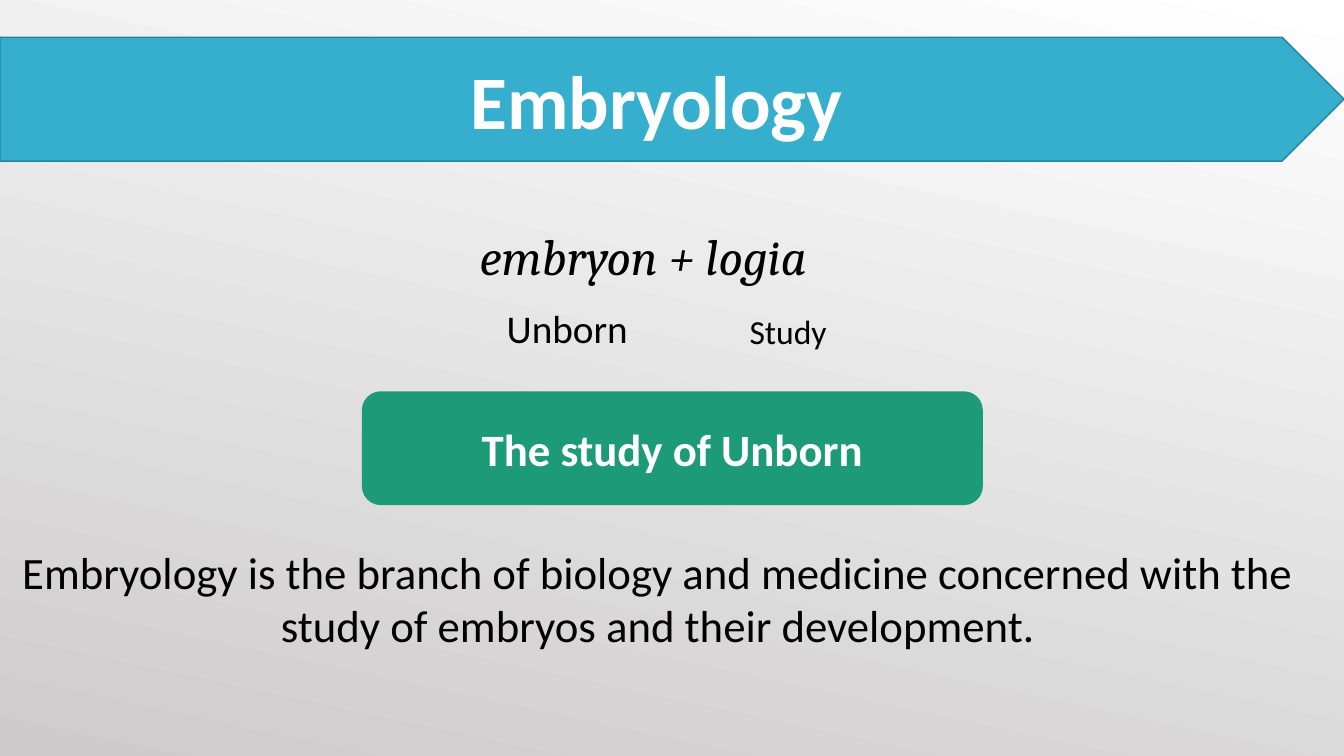
from dataclasses import dataclass

from pptx import Presentation
from pptx.dml.color import RGBColor
from pptx.enum.shapes import MSO_SHAPE as Shp
from pptx.enum.text import MSO_ANCHOR as Anchor, MSO_AUTO_SIZE as AutoSize, PP_ALIGN as Align
from pptx.shapes.autoshape import Shape
from pptx.slide import Slide
from pptx.util import Cm, Pt

WIDTH, HEIGHT = 33.87, 19.05
BANNER_TOP, BANNER_H = 0.94, 3.12
BLACK, WHITE = "000000", "FFFFFF"


@dataclass
class Box:
    left: float
    top: float
    width: float
    height: float

    def lengths(self) -> tuple[Cm, Cm, Cm, Cm]:
        return Cm(self.left), Cm(self.top), Cm(self.width), Cm(self.height)


@dataclass
class Label:
    text: str
    box: Box
    size: int
    font: str = "Calibri"
    italic: bool = False
    align: Align = Align.LEFT


LABELS = [
    Label("embryon + logia", Box(11.84, 5.56, 12.22, 1.8), 36, "Cambria", italic=True),
    Label("Unborn", Box(12.52, 7.54, 5.41, 1.45), 28),
    Label("Study", Box(18.64, 7.7, 3.56, 1.27), 24),
    Label("Embryology is the branch of biology and medicine concerned with the "
          "study of embryos and their development.",
          Box(0, 13.59, 33.17, 5), 32, align=Align.CENTER),
]


def rgb(value: str) -> RGBColor:
    return RGBColor.from_string(value)


def write(sp: Shape, text: str, size: int, color: str, font: str = "Calibri",
          bold: bool = False, italic: bool = False, align: Align = Align.CENTER,
          anchor: Anchor = Anchor.MIDDLE) -> None:
    tf = sp.text_frame
    tf.text = text
    tf.word_wrap = True
    tf.auto_size = AutoSize.NONE
    tf.vertical_anchor = anchor
    p = tf.paragraphs[0]
    p.alignment = align
    for r in p.runs:
        r.font.name, r.font.size = font, Pt(size)
        r.font.bold, r.font.italic = bold, italic
        r.font.color.rgb = rgb(color)


def add_block(s: Slide, kind: Shp, box: Box, fill: str, line: str | None = None) -> Shape:
    sp = s.shapes.add_shape(kind, *box.lengths())
    sp.shadow.inherit = False
    sp.fill.solid()
    sp.fill.fore_color.rgb = rgb(fill)
    if line:
        sp.line.color.rgb = rgb(line)
        sp.line.width = Pt(1)
    else:
        sp.line.fill.background()
    return sp


def paint_background(s: Slide) -> None:
    fill = s.background.fill
    fill.gradient()
    fill.gradient_angle = 258
    for stop, color, position in zip(fill.gradient_stops, (WHITE, "CDCBCB"), (0, 1)):
        stop.color.rgb = rgb(color)
        stop.position = position


def add_title_banner(s: Slide) -> None:
    """Put the title placeholder on top of the arrow, clear of half its tip."""
    banner = add_block(s, Shp.PENTAGON, Box(0, BANNER_TOP, WIDTH, BANNER_H), "36AFCE", "288198")
    title = s.shapes.title
    banner.element.addnext(title.element)
    box = Box(0, BANNER_TOP, WIDTH - BANNER_H / 4, BANNER_H)
    title.left, title.top, title.width, title.height = box.lengths()
    write(title, "Embryology", 54, WHITE, bold=True)


def add_label(s: Slide, label: Label) -> None:
    sp = s.shapes.add_textbox(*label.box.lengths())
    write(sp, label.text, label.size, BLACK, label.font, italic=label.italic,
          align=label.align, anchor=Anchor.TOP)


def main() -> None:
    prs = Presentation()
    prs.slide_width, prs.slide_height = Cm(WIDTH), Cm(HEIGHT)
    s = prs.slides.add_slide(prs.slide_layouts.get_by_name("Title Only"))
    paint_background(s)
    add_title_banner(s)
    *terms, definition = LABELS
    for term in terms:
        add_label(s, term)
    meaning = add_block(s, Shp.ROUNDED_RECTANGLE, Box(9.12, 9.86, 15.65, 2.87), "1D9A78")
    write(meaning, "The study of Unborn", 32, WHITE, bold=True)
    add_label(s, definition)
    prs.save("out.pptx")


if __name__ == "__main__":
    main()
